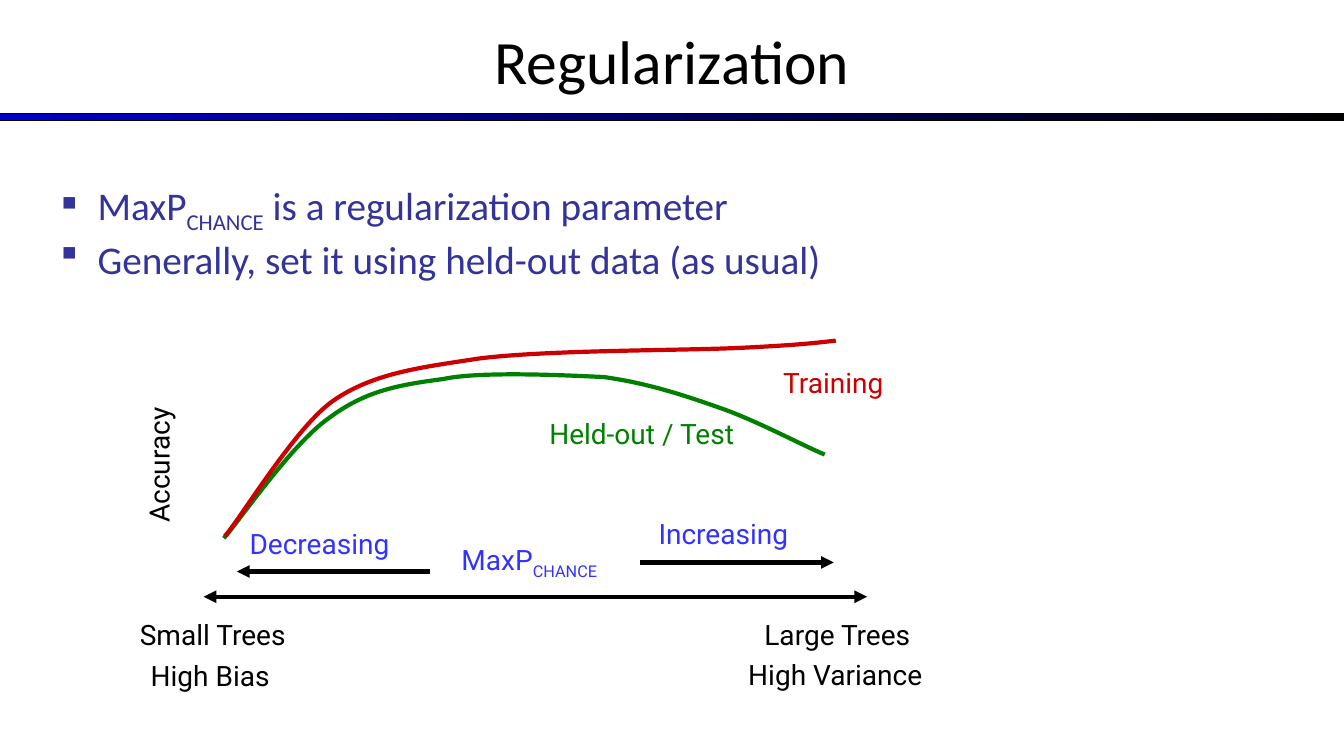
"""Build the Regularization slide with its accuracy curves."""
from lxml import etree
from pptx import Presentation
from pptx.dml.color import RGBColor
from pptx.enum.shapes import MSO_CONNECTOR, MSO_SHAPE
from pptx.enum.text import MSO_ANCHOR, PP_ALIGN
from pptx.oxml.ns import qn
from pptx.util import Inches, Pt

STRAIGHT = MSO_CONNECTOR.STRAIGHT
RECTANGLE = MSO_SHAPE.RECTANGLE
MIDDLE, TOP = MSO_ANCHOR.MIDDLE, MSO_ANCHOR.TOP
CENTER, LEFT = PP_ALIGN.CENTER, PP_ALIGN.LEFT

BLACK, NAVY, BLUE = "000000", "333399", "3333FF"
GREEN, RED, BAR_BLUE = "008000", "CC0000", "0000CC"
SUBSCRIPT = "CHANCE"

TITLE = "Regularization"
BULLETS = [
    ["MaxP", SUBSCRIPT, " is a regularization parameter"],
    ["Generally, set it using held-out data (as usual)"],
]
LABELS = [
    (1.22, 6.08, 1.78, 0.43, ["Small Trees"], BLACK, 0),
    (7.41, 6.08, 1.79, 0.43, ["Large Trees"], BLACK, 0),
    (4.44, 5.33, 1.62, 0.48, ["MaxP", SUBSCRIPT], BLUE, 0),
    (6.36, 5.08, 1.63, 0.43, ["Increasing"], BLUE, 0),
    (2.29, 5.17, 1.76, 0.43, ["Decreasing"], BLUE, 0),
    (0.29, 4.4, 2.56, 0.43, ["Accuracy"], BLACK, 270),
    (1.33, 6.48, 1.51, 0.43, ["High Bias"], BLACK, 0),
    (7.22, 6.47, 2.13, 0.43, ["High Variance"], BLACK, 0),
    (5.26, 4.08, 2.21, 0.43, ["Held-out / Test"], GREEN, 0),
    (7.62, 3.58, 1.29, 0.43, ["Training"], RED, 0),
]
ARROWS = [
    (2.02, 8.6, 5.92, ["headEnd", "tailEnd"]),
    (6.35, 8.27, 5.58, ["tailEnd"]),
    (2.35, 4.27, 5.67, ["headEnd"]),
]
CURVES = [
    (GREEN, [(2.22, 5.34), (2.38, 5.16), (2.89, 4.41), (3.26, 4.15),
             (3.62, 3.88), (3.94, 3.82), (4.4, 3.76),
             (4.81, 3.67), (5.89, 3.74), (5.98, 3.74),
             (6.42, 3.8), (6.78, 3.92), (7.15, 4.05),
             (7.52, 4.18), (7.96, 4.42), (8.18, 4.51)]),
    (RED, [(2.23, 5.32), (2.39, 5.14), (2.93, 4.24), (3.3, 3.98),
           (3.71, 3.69), (4.23, 3.64), (4.73, 3.56),
           (5.41, 3.47), (6.79, 3.48), (7.38, 3.45),
           (7.98, 3.42), (8.1, 3.4), (8.29, 3.38)]),
]


def color(value):
    return RGBColor.from_string(value)


def place(box, left, top, width, height):
    box.left, box.top = Inches(left), Inches(top)
    box.width, box.height = Inches(width), Inches(height)


def write(para, spans, font, size, ink, align):
    para.alignment = align
    for text in spans:
        span = para.add_run()
        span.text = text
        span.font.name = font
        span.font.size = Pt(size)
        span.font.color.rgb = color(ink)
        if text == SUBSCRIPT:
            span.font._element.set("baseline", "-25000")


def add_bullet(para):
    properties = para._p.get_or_add_pPr()
    properties.set("marL", str(Inches(0.37)))
    properties.set("indent", str(Inches(-0.37)))
    tint = etree.SubElement(properties, qn("a:buClr"))
    etree.SubElement(tint, qn("a:srgbClr")).set("val", NAVY)
    etree.SubElement(properties, qn("a:buFont")).set("typeface", "Wingdings")
    etree.SubElement(properties, qn("a:buChar")).set("char", "§")


def add_bar(page):
    bar = page.shapes.add_shape(RECTANGLE, 0, Inches(1.13), Inches(13.33), Inches(0.07))
    bar.shadow.inherit = False
    bar.fill.gradient()
    bar.fill.gradient_angle = 0
    for stop, position, ink in zip(bar.fill.gradient_stops, (0, 1), (BAR_BLUE, BLACK)):
        stop.position = position
        stop.color.rgb = color(ink)
    bar.line.color.rgb = color(BLACK)
    bar.line.width = Pt(0.75)


def add_title(page):
    box = page.shapes.title
    place(box, 0, -0.03, 13.33, 1.25)
    box.text_frame.vertical_anchor = MIDDLE
    write(box.text_frame.paragraphs[0], [TITLE], "Calibri", 44, BLACK, CENTER)


def add_text(page, left, top, width, height):
    box = page.shapes.add_textbox(*map(Inches, (left, top, width, height)))
    box.text_frame.word_wrap = True
    box.text_frame.vertical_anchor = TOP
    return box


def add_bullets(page):
    frame = add_text(page, 0.5, 1.75, 9, 0.89).text_frame
    for index, spans in enumerate(BULLETS):
        para = frame.add_paragraph() if index else frame.paragraphs[0]
        write(para, spans, "Calibri", 28, NAVY, LEFT)
        add_bullet(para)


def add_arrow(page, start, end, level, heads):
    arrow = page.shapes.add_connector(STRAIGHT, *map(Inches, (start, level, end, level)))
    arrow.line.color.rgb = color(BLACK)
    arrow.line.width = Pt(3)
    for head in heads:
        etree.SubElement(arrow.line._get_or_add_ln(), qn(f"a:{head}")).set("type", "triangle")
    etree.SubElement(arrow._element.spPr, qn("a:effectLst"))


def bend(curve):
    segments = list(curve._element.iter(qn("a:lnTo")))
    outline = segments[0].getparent()
    for index in range(0, len(segments), 3):
        cubic = etree.SubElement(outline, qn("a:cubicBezTo"))
        for segment in segments[index:index + 3]:
            cubic.append(segment[0])
            outline.remove(segment)


def add_curve(page, ink, controls):
    start, *others = [tuple(map(Inches, point)) for point in controls]
    builder = page.shapes.build_freeform(*start)
    builder.add_line_segments(others, close=False)
    curve = builder.convert_to_shape()
    bend(curve)
    curve.shadow.inherit = False
    curve.fill.background()
    curve.line.color.rgb = color(ink)
    curve.line.width = Pt(3)


def main():
    deck = Presentation()
    deck.slide_width, deck.slide_height = Inches(13.33), Inches(7.5)
    page = deck.slides.add_slide(deck.slide_layouts.get_by_name("Title Only"))
    add_bar(page)
    add_title(page)
    add_bullets(page)
    for arrow in ARROWS:
        add_arrow(page, *arrow)
    for curve in CURVES:
        add_curve(page, *curve)
    for left, top, width, height, spans, ink, rotation in LABELS:
        box = add_text(page, left, top, width, height)
        box.rotation = rotation
        write(box.text_frame.paragraphs[0], spans, "Roboto", 20, ink, CENTER)
    deck.save("out.pptx")


if __name__ == "__main__":
    main()
